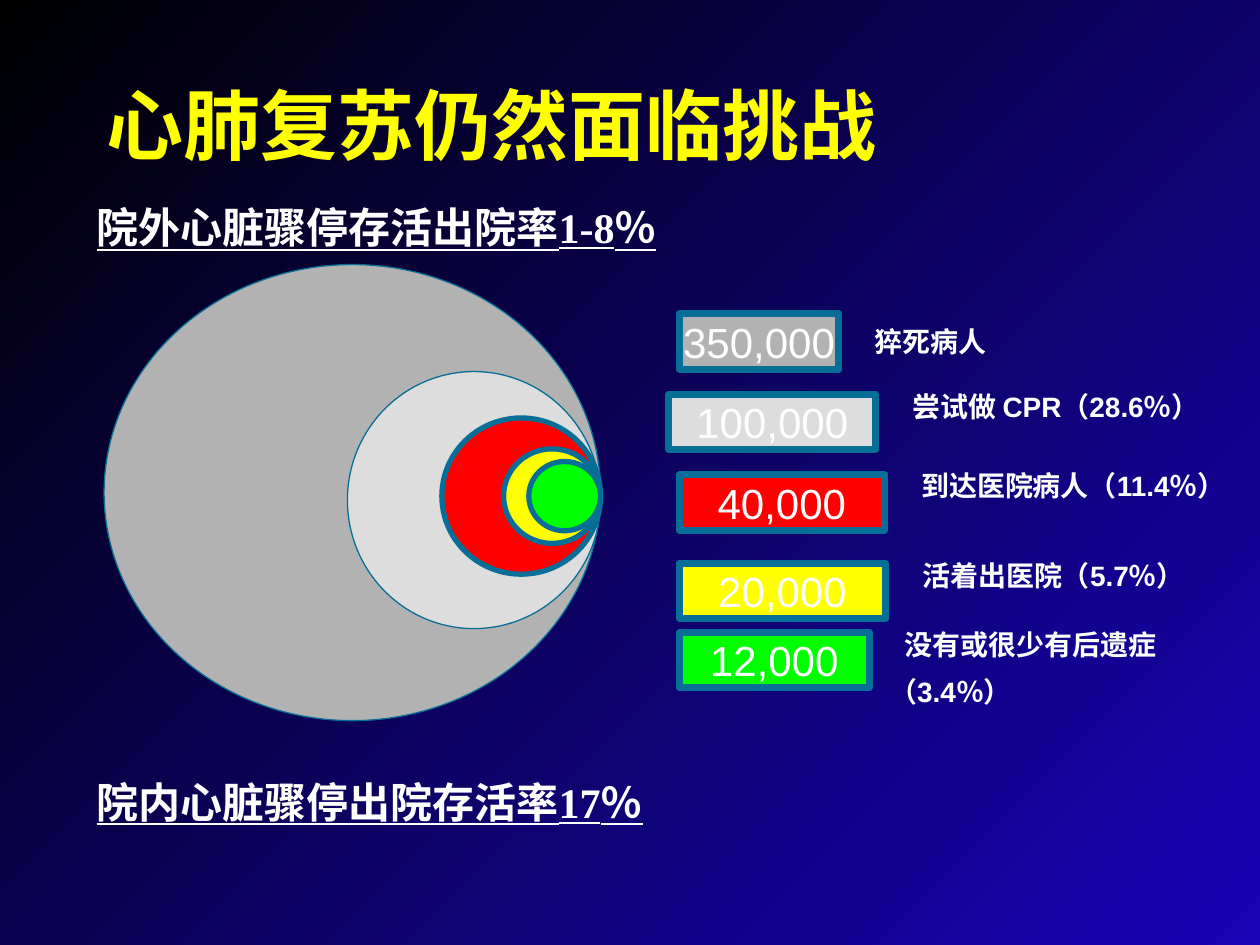
from pptx import Presentation
from pptx.dml.color import RGBColor
from pptx.enum.shapes import MSO_SHAPE
from pptx.enum.text import MSO_ANCHOR, MSO_AUTO_SIZE, PP_ALIGN
from pptx.util import Pt

BLACK = RGBColor(0x00, 0x00, 0x00)
NAVY = RGBColor(0x18, 0x03, 0xB7)
WHITE = RGBColor(0xFF, 0xFF, 0xFF)
TEAL = RGBColor(0x07, 0x6E, 0x97)
GREY = RGBColor(0xB2, 0xB2, 0xB2)
PALE = RGBColor(0xDD, 0xDD, 0xDD)
RED = RGBColor(0xFF, 0x00, 0x00)
YELLOW = RGBColor(0xFF, 0xFF, 0x00)
GREEN = RGBColor(0x00, 0xFF, 0x00)

TITLE_FONT = {"name": "Times New Roman", "size": Pt(44), "bold": True}
HEADING_FONT = {"name": "Times New Roman", "size": Pt(24), "bold": True, "underline": True}
COUNT_FONT = {"name": "Arial", "size": Pt(24)}
LABEL_FONT = {"name": "Arial", "size": Pt(16), "bold": True}

TITLE = "心肺复苏仍然面临挑战"
HEADINGS = [  # text, top
    ("院外心脏骤停存活出院率1-8％", 111.6),
    ("院内心脏骤停出院存活率17％", 439.9),
]
CIRCLES_RIGHT = 343.2
CIRCLES = [  # colour, width, height, vertical centre, line width
    (GREY, 283.7, 260.6, 281.5, 0.75),
    (PALE, 144.7, 146.9, 285.8, 0.75),
    (RED, 90.7, 89.3, 283.5, 3),
    (YELLOW, 55.4, 54, 283.5, 3),
    (GREEN, 41, 39.6, 283.5, 3),
]
COUNT_HEIGHT = 31.7
LABEL_HEIGHT = 25.9
LABEL_INDENT = 8.9
LEGEND = [  # colour, count, (left, top, width), label lines, (left, top, width)
    (GREY, "350,000", (388.1, 179.3, 91.4), ["猝死病人"], (483.8, 182.2, 129.6)),
    (PALE, "100,000", (382.3, 225.4, 118.1), ["尝试做 CPR（28.6％）"], (505.4, 218.9, 195.1)),
    (RED, "40,000", (388.1, 271.4, 117.4), ["到达医院病人（11.4％）"], (510.5, 264.2, 209.5)),
    (YELLOW, "20,000", (388.1, 321.8, 118.1), ["活着出医院（5.7％）"], (511.2, 315.4, 194.4)),
    (GREEN, "12,000", (388.1, 361.4, 108.7), ["没有或很少有后遗症", "（3.4％）"],
     (501.1, 355, 204.5)),
]


def style(paragraph, text, font, color):
    paragraph.text = text
    for name, value in font.items():
        setattr(paragraph.font, name, value)
    paragraph.font.color.rgb = color


def add_text(shapes, lines, box, font, color=WHITE, indent=0):
    """Add a text box; the indent applies to its first line only."""
    frame = shapes.add_textbox(*map(Pt, box)).text_frame
    frame.word_wrap = True
    for index, line in enumerate(lines):
        paragraph = frame.add_paragraph() if index else frame.paragraphs[0]
        if index:
            paragraph.space_before = Pt(8)
        elif indent:
            paragraph._p.get_or_add_pPr().set("indent", str(Pt(indent)))
        style(paragraph, line, font, color)
    return frame


def add_outlined(shapes, kind, box, fill, line_width):
    shape = shapes.add_shape(kind, *map(Pt, box))
    shape.shadow.inherit = False
    shape.fill.solid()
    shape.fill.fore_color.rgb = fill
    shape.line.color.rgb = TEAL
    shape.line.width = Pt(line_width)
    return shape


presentation = Presentation()
presentation.slide_width = Pt(720)
presentation.slide_height = Pt(540)
slide = presentation.slides.add_slide(presentation.slide_layouts[6])

background = slide.background.fill
background.gradient()
background.gradient_angle = 315
for stop, color, position in zip(background.gradient_stops, (BLACK, NAVY), (0, 1)):
    stop.color.rgb = color
    stop.position = position

title = add_text(slide.shapes, [TITLE], (54, 25.9, 612, 90), TITLE_FONT, YELLOW)
title.vertical_anchor = MSO_ANCHOR.MIDDLE

circles = slide.shapes.add_group_shape().shapes
for color, width, height, middle, line_width in CIRCLES:
    box = (CIRCLES_RIGHT - width, middle - height / 2, width, height)
    add_outlined(circles, MSO_SHAPE.OVAL, box, color, line_width)

for color, count, count_box, lines, label_box in LEGEND:
    row = slide.shapes.add_group_shape().shapes
    shape = add_outlined(row, MSO_SHAPE.RECTANGLE, (*count_box, COUNT_HEIGHT), color, 4)
    frame = shape.text_frame
    frame.word_wrap = False
    frame.vertical_anchor = MSO_ANCHOR.MIDDLE
    frame.paragraphs[0].alignment = PP_ALIGN.CENTER
    style(frame.paragraphs[0], count, COUNT_FONT, WHITE)
    height = LABEL_HEIGHT if len(lines) == 1 else 55.4
    label = add_text(row, lines, (*label_box, height), LABEL_FONT, indent=LABEL_INDENT)
    label.auto_size = MSO_AUTO_SIZE.SHAPE_TO_FIT_TEXT

for text, top in HEADINGS:
    heading = add_text(slide.shapes, [text], (48.2, top, 360, 36), HEADING_FONT)
    heading.auto_size = MSO_AUTO_SIZE.SHAPE_TO_FIT_TEXT

presentation.save("out.pptx")
